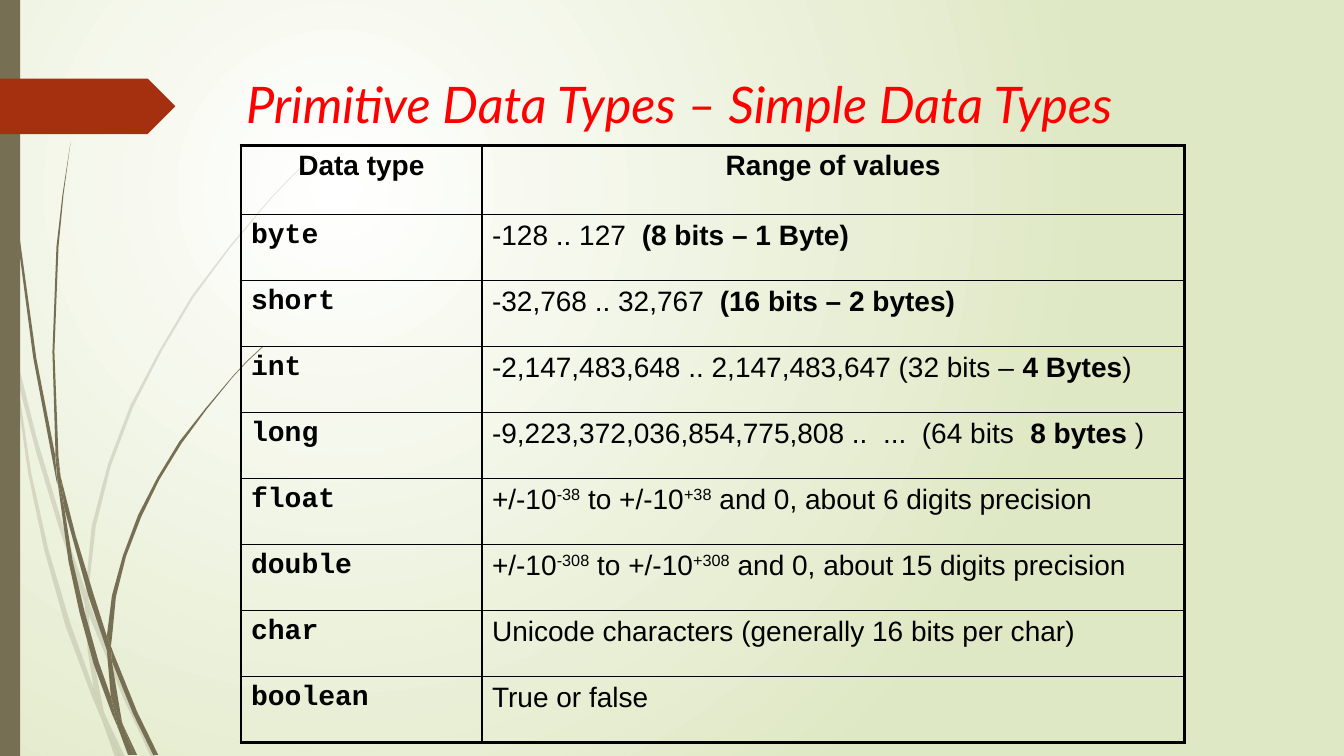
from lxml import etree
from pptx import Presentation
from pptx.dml.color import RGBColor
from pptx.enum.shapes import MSO_SHAPE
from pptx.enum.text import MSO_ANCHOR, PP_ALIGN
from pptx.oxml import parse_xml
from pptx.oxml.ns import nsdecls, qn
from pptx.util import Inches, Pt

RECTANGLE, PENTAGON = MSO_SHAPE.RECTANGLE, MSO_SHAPE.PENTAGON
LEFT, CENTER, JUSTIFY = PP_ALIGN.LEFT, PP_ALIGN.CENTER, PP_ALIGN.JUSTIFY
TOP = MSO_ANCHOR.TOP

OLIVE = RGBColor(0x76, 0x6F, 0x54)
RUST = RGBColor(0xA5, 0x30, 0x10)
RED = RGBColor(0xFF, 0x00, 0x00)
BLACK = RGBColor(0x00, 0x00, 0x00)
WHITE = RGBColor(0xFF, 0xFF, 0xFF)
PALE_GREEN = RGBColor(0xDF, 0xE8, 0xC4)

# Outlines of the pieces of grass, in inches
FAINT_GRASS = [
    [(0.11, 3.5), (0.09, 3.22), (0, 2.82), (0, 2.99), (0.1, 3.44)],
    [(0.58, 5.22), (0.84, 5.99), (0.85, 5.86), (0.62, 5.2), (0.36, 4.33),
     (0.14, 3.45), (0.17, 3.76), (0.36, 4.49)],
    [(0.92, 6.07), (0.88, 5.96), (0.88, 6.1), (1.23, 6.94), (1.5, 7.51),
     (1.55, 7.51), (1.27, 6.92)],
    [(1.19, 7.51), (1.24, 7.51), (1.05, 7.11)],
    [(0.93, 6.83), (0.7, 6.19), (0.48, 5.45), (0.31, 4.69), (0.17, 3.76),
     (0.11, 3.5), (0.28, 4.7), (0.44, 5.46), (0.65, 6.21), (0.92, 6.93),
     (1.01, 7.14), (0.99, 7.07)],
    [(0.84, 5.99), (0.87, 6.46), (0.93, 6.83), (0.96, 6.92), (1.05, 7.11),
     (1.03, 7.06), (0.91, 6.46), (0.88, 6.1), (0.88, 6.08)],
    [(0.88, 5.84), (0.95, 5.22), (1.1, 4.62), (1.32, 4.04), (1.6, 3.49),
     (1.92, 2.95), (2.29, 2.45), (2.68, 1.98), (2.9, 1.75), (3.12, 1.54),
     (3.12, 1.53), (2.89, 1.75), (2.68, 1.97), (2.28, 2.44), (1.9, 2.94),
     (1.58, 3.48), (1.29, 4.03), (1.07, 4.61), (0.91, 5.22), (0.85, 5.84),
     (0.85, 5.86), (0.88, 5.96)],
    [(1.01, 7.14), (1.14, 7.51), (1.19, 7.51)],
    [(0.88, 6.08), (0.88, 6.1), (0.88, 5.96), (0.85, 5.86), (0.84, 5.99)],
    [(0.96, 6.92), (0.93, 6.83), (0.99, 7.07), (1.01, 7.14), (1.19, 7.51),
     (1.05, 7.11)],
]
DARK_GRASS = [
    [(0.07, 1.1), (0.17, 2.33), (0.33, 3.55), (0.56, 4.77), (0.57, 4.81),
     (0.55, 4.57), (0.55, 4.53), (0.36, 3.55), (0.19, 2.32), (0.08, 1.09),
     (0.05, 0.48), (0.04, 0), (0.03, 0), (0.04, 0.48)],
    [(0.88, 5.92), (1.06, 6.45), (1.06, 6.33), (1.06, 6.31), (0.93, 5.9),
     (0.75, 5.31), (0.6, 4.72), (0.64, 5.05)],
    [(1.13, 6.49), (1.1, 6.41), (1.11, 6.56), (1.32, 7.08), (1.52, 7.49),
     (1.57, 7.49), (1.36, 7.06)],
    [(1.1, 6.91), (0.98, 6.57), (0.84, 6.07), (0.72, 5.56), (0.64, 5.05),
     (0.57, 4.77), (0.68, 5.57), (0.79, 6.08), (0.93, 6.59), (1.11, 7.08),
     (1.17, 7.22), (1.16, 7.17)],
    [(0.6, 4.72), (0.58, 4.53), (0.54, 3.49), (0.58, 2.45), (0.63, 1.93),
     (0.7, 1.41), (0.62, 1.93), (0.56, 2.45), (0.52, 3.49), (0.55, 4.49)],
    [(1.33, 7.49), (1.36, 7.49), (1.22, 7.19)],
    [(0.57, 4.77), (0.64, 5.05), (0.6, 4.72), (0.55, 4.49), (0.55, 4.53)],
    [(1.11, 6.33), (1.15, 5.92), (1.25, 5.52), (1.4, 5.13), (1.58, 4.76),
     (1.8, 4.4), (2.05, 4.06), (2.31, 3.74), (2.45, 3.59), (2.61, 3.44),
     (2.6, 3.44), (2.45, 3.58), (2.31, 3.73), (2.04, 4.05), (1.78, 4.38),
     (1.56, 4.74), (1.37, 5.11), (1.22, 5.51), (1.11, 5.91), (1.06, 6.31),
     (1.1, 6.41)],
    [(1.17, 7.22), (1.27, 7.49), (1.31, 7.49)],
    [(1.06, 6.45), (1.1, 6.91), (1.16, 7.06), (1.22, 7.19), (1.21, 7.16),
     (1.11, 6.56), (1.09, 6.51)],
    [(1.06, 6.45), (1.09, 6.51), (1.11, 6.56), (1.1, 6.41), (1.06, 6.31)],
    [(1.16, 7.06), (1.1, 6.91), (1.16, 7.17), (1.17, 7.22), (1.3, 7.49),
     (1.33, 7.49), (1.22, 7.19)],
]

# Each range is a list of (text, style) runs
PLAIN, BOLD, RAISED = "plain", "bold", "raised"
DATA_TYPES = [
    ("byte", [("-128 .. 127  ", PLAIN), ("(8 bits – 1 Byte)", BOLD)]),
    ("short", [("-32,768 .. 32,767  ", PLAIN), ("(16 bits – 2 bytes)", BOLD)]),
    ("int", [("-2,147,483,648 .. 2,147,483,647 (32 bits – ", PLAIN),
             ("4 Bytes", BOLD), (")", PLAIN)]),
    ("long", [("-9,223,372,036,854,775,808 ..  ...  (64 bits  ", PLAIN),
              ("8 bytes ", BOLD), (")", PLAIN)]),
    ("float", [("+/-10", PLAIN), ("-38", RAISED), (" to +/-10", PLAIN),
               ("+38", RAISED), (" and 0, about 6 digits precision", PLAIN)]),
    ("double", [("+/-10", PLAIN), ("-308", RAISED), (" to +/-10", PLAIN),
                ("+308", RAISED), (" and 0, about 15 digits precision", PLAIN)]),
    ("char", [("Unicode characters (generally 16 bits per char)", PLAIN)]),
    ("boolean", [("True or false", PLAIN)]),
]
COLUMN_WIDTHS = (2.39, 6.97)
TABLE_HEIGHT, HEADER_HEIGHT = 5.93, 0.69


def set_background(slide):
    background = parse_xml(
        f'<p:bg {nsdecls("p", "a")}><p:bgPr><a:gradFill rotWithShape="1"><a:gsLst>'
        f'<a:gs pos="0"><a:srgbClr val="{WHITE}"/></a:gs>'
        f'<a:gs pos="100000"><a:srgbClr val="{PALE_GREEN}"/></a:gs></a:gsLst>'
        '<a:path path="circle">'
        '<a:fillToRect l="50000" t="50000" r="100000" b="100000"/></a:path>'
        '</a:gradFill><a:effectLst/></p:bgPr></p:bg>')
    slide.element.find(qn("p:cSld")).insert(0, background)


def paint(shape, color):
    shape.shadow.inherit = False
    shape.fill.solid()
    shape.fill.fore_color.rgb = color
    shape.line.fill.background()


def add_grass(slide, outline, opacity):
    points = [(Inches(x), Inches(y)) for x, y in outline]
    builder = slide.shapes.build_freeform(*points[0])
    builder.add_line_segments(points[1:], close=True)
    grass = builder.convert_to_shape()
    paint(grass, OLIVE)
    if opacity < 100:
        color = grass.element.spPr.find(".//" + qn("a:srgbClr"))
        etree.SubElement(color, qn("a:alpha"), val=str(opacity * 1000))


def add_block(slide, kind, left, top, width, height, color):
    block = slide.shapes.add_shape(
        kind, Inches(left), Inches(top), Inches(width), Inches(height))
    paint(block, color)


def format_title(title):
    title.left, title.top = Inches(2.34), Inches(0.68)
    title.width, title.height = Inches(10.24), Inches(1.4)
    title.text_frame.text = "Primitive Data Types – Simple Data Types"
    title.text_frame.vertical_anchor = TOP
    paragraph = title.text_frame.paragraphs[0]
    paragraph.alignment = LEFT
    font = paragraph.font
    font.name, font.size, font.italic = "Lato", Pt(36), True
    font.color.rgb = RED


def set_borders(cell, widths):
    properties = cell._tc.get_or_add_tcPr()
    for position, (side, points) in enumerate(zip("LRTB", widths)):
        properties.insert(position, parse_xml(
            f'<a:ln{side} {nsdecls("a")} w="{Pt(points)}"><a:solidFill>'
            f'<a:srgbClr val="{BLACK}"/></a:solidFill></a:ln{side}>'))


def fill_cell(cell, runs, font_name, alignment):
    cell.fill.background()
    paragraph = cell.text_frame.paragraphs[0]
    paragraph.alignment = alignment
    paragraph.font.name, paragraph.font.size = font_name, Pt(20)
    paragraph.font.color.rgb = BLACK
    for text, style in runs:
        run = paragraph.add_run()
        run.text = text
        run.font.bold = style == BOLD
        if style == RAISED:
            run._r.get_or_add_rPr().set("baseline", "30000")


def add_types_table(slide):
    last_row = len(DATA_TYPES)
    row_height = (TABLE_HEIGHT - HEADER_HEIGHT) / last_row
    table = slide.shapes.add_table(
        last_row + 1, 2, Inches(2.39), Inches(1.44),
        Inches(sum(COLUMN_WIDTHS)), Inches(TABLE_HEIGHT)).table
    table.first_row = table.horz_banding = False
    for column, width in zip(table.columns, COLUMN_WIDTHS):
        column.width = Inches(width)

    for cell, heading in zip(table.rows[0].cells, ("Data type", "Range of values")):
        fill_cell(cell, [(heading, BOLD)], "Arial", CENTER)
    for index, (name, value_range) in enumerate(DATA_TYPES, start=1):
        fill_cell(table.cell(index, 0), [(name, BOLD)], "Courier New", JUSTIFY)
        fill_cell(table.cell(index, 1), value_range, "Arial", JUSTIFY)

    # Row heights, thick outer frame and thin inner grid
    for index, row in enumerate(table.rows):
        row.height = Inches(row_height if index else HEADER_HEIGHT)
        for column, cell in enumerate(row.cells):
            outer = (column == 0, column == 1, index == 0, index == last_row)
            set_borders(cell, [2.25 if edge else 1 for edge in outer])


def main():
    presentation = Presentation()
    presentation.slide_width, presentation.slide_height = Inches(13.33), Inches(7.5)
    slide = presentation.slides.add_slide(presentation.slide_layouts[5])
    set_background(slide)
    # Grass, side bar and arrow tag
    for outlines, opacity in ((FAINT_GRASS, 20), (DARK_GRASS, 100)):
        for outline in outlines:
            add_grass(slide, outline, opacity)
    add_block(slide, RECTANGLE, 0, 0, 0.2, 7.5, OLIVE)
    add_block(slide, PENTAGON, 0, 0.78, 1.74, 0.55, RUST)
    # Title and table
    format_title(slide.shapes.title)
    add_types_table(slide)
    presentation.save("out.pptx")


if __name__ == "__main__":
    main()
